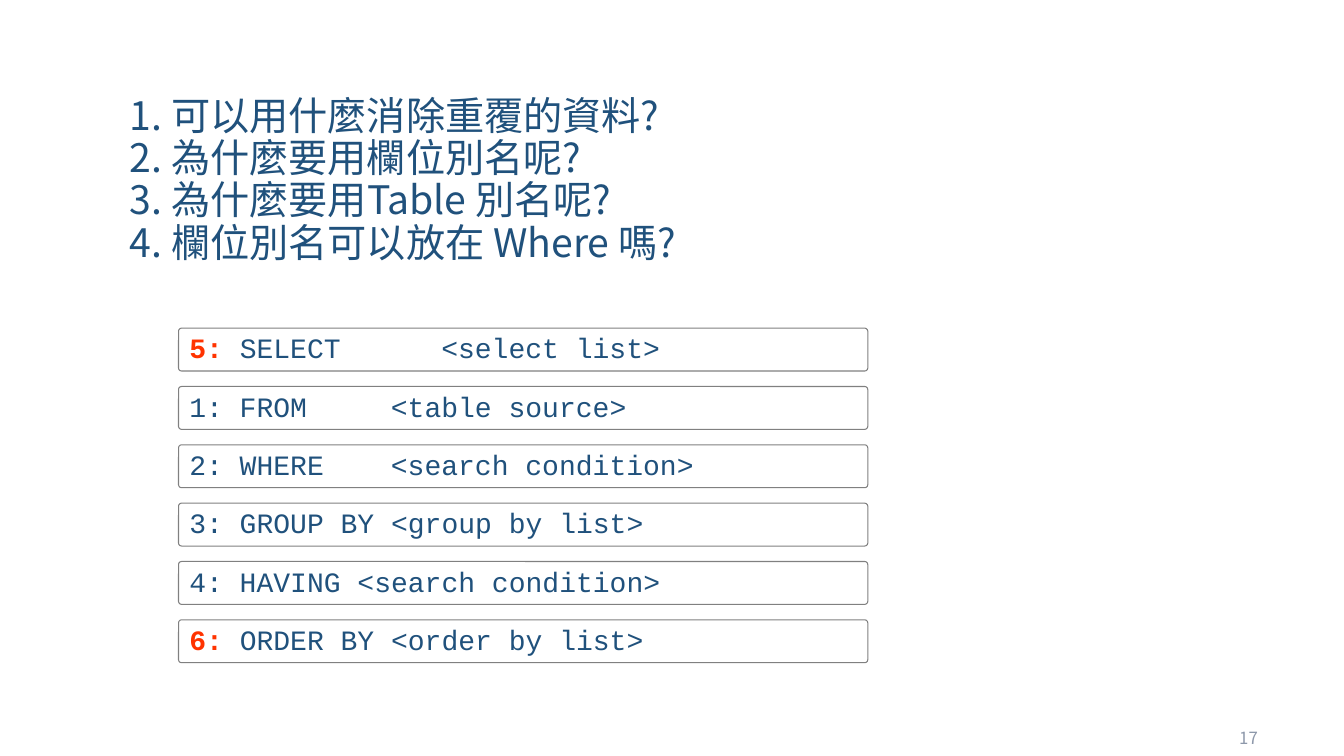
import pptx
import pptx.dml.color
import pptx.enum.shapes
import pptx.enum.text
import pptx.oxml
import pptx.oxml.ns
import pptx.util
from lxml import etree

Cm = pptx.util.Cm
Pt = pptx.util.Pt
RGBColor = pptx.dml.color.RGBColor

NAVY = RGBColor(0x20, 0x51, 0x7C)
RED = RGBColor(0xFF, 0x33, 0x00)
GREY = RGBColor(0x80, 0x80, 0x80)
PALE = RGBColor(0x8D, 0x98, 0xAA)
WHITE = RGBColor(0xFF, 0xFF, 0xFF)

SANS = "Noto Sans CJK SC"
MONO = "Courier New"
SLIDE_NUMBER = 17
CHAR_WIDTH = Pt(12)  # one Courier character at 20 pt

QUESTIONS = [
    "可以用什麼消除重覆的資料?",
    "為什麼要用欄位別名呢?",
    "為什麼要用Table 別名呢?",
    "欄位別名可以放在 Where 嗎?",
]

# order of execution, clause, argument, column of the argument, highlighted
CLAUSES = [
    (5, "SELECT", "<select list>", 15, True),
    (1, "FROM", "<table source>", 12, False),
    (2, "WHERE", "<search condition>", 12, False),
    (3, "GROUP BY", "<group by list>", 12, False),
    (4, "HAVING", "<search condition>", 10, False),
    (6, "ORDER BY", "<order by list>", 12, True),
]


def sub(parent, tag, **attrs):
    return etree.SubElement(parent, pptx.oxml.ns.qn(tag), attrs)


def add_run(p, text, font, size, color, bold=False):
    r = p.add_run()
    r.text = text
    r.font.name = font
    r.font.size = Pt(size)
    r.font.bold = bold
    r.font.color.rgb = color
    sub(r.font._element, "a:ea", typeface=font)


def add_questions(slide, left, top, width, height):
    title = slide.shapes.title
    title.left, title.top, title.width, title.height = left, top, width, height
    tf = title.text_frame
    tf.word_wrap = True
    tf.auto_size = pptx.enum.text.MSO_AUTO_SIZE.NONE
    tf.vertical_anchor = pptx.enum.text.MSO_ANCHOR.TOP
    tf.margin_top = Cm(1.25)
    for number, question in enumerate(QUESTIONS, 1):
        p = tf.paragraphs[0] if number == 1 else tf.add_paragraph()
        p.alignment = pptx.enum.text.PP_ALIGN.LEFT
        p.line_spacing = Pt(30.2)
        add_run(p, f"{number}. {question}", SANS, 28, NAVY)


def add_clause(shapes, clause, left, top, width, height):
    order, keyword, argument, column, highlighted = clause
    sp = shapes.add_shape(pptx.enum.shapes.MSO_SHAPE.ROUNDED_RECTANGLE,
                          left, top, width, height)
    sp.adjustments[0] = 0.07
    sp.shadow.inherit = False
    sp.fill.solid()
    sp.fill.fore_color.rgb = WHITE
    sp.line.color.rgb = GREY
    sp.line.width = Pt(0.75)

    tf = sp.text_frame
    tf.word_wrap = True
    tf.vertical_anchor = pptx.enum.text.MSO_ANCHOR.MIDDLE
    p = tf.paragraphs[0]
    p.alignment = pptx.enum.text.PP_ALIGN.LEFT
    p.line_spacing = 0.9

    label = f"{order}: {keyword}"
    gap = " "
    if column > len(label) + 1:
        gap = "\t"
        tabs = sub(p._p.get_or_add_pPr(), "a:tabLst")
        sub(tabs, "a:tab", pos=str(column * CHAR_WIDTH), algn="l")
    add_run(p, f"{order}:", MONO, 20, RED if highlighted else NAVY, highlighted)
    add_run(p, f" {keyword}{gap}{argument}", MONO, 20, NAVY)


def add_clause_stack(slide, left, top, width, height):
    """Stack the clauses in the box, with equal gaps between them."""
    row_height = Cm(1.08)
    pitch = (height - row_height) // (len(CLAUSES) - 1)
    group = slide.shapes.add_group_shape()
    for i, clause in enumerate(CLAUSES):
        add_clause(group.shapes, clause, left, top + i * pitch, width, row_height)


def add_slide_number(slide, left, top, width, height):
    tf = slide.shapes.add_textbox(left, top, width, height).text_frame
    tf.word_wrap = True
    tf.vertical_anchor = pptx.enum.text.MSO_ANCHOR.MIDDLE
    p = tf.paragraphs[0]
    p.alignment = pptx.enum.text.PP_ALIGN.RIGHT
    add_run(p, str(SLIDE_NUMBER), SANS, 12, PALE)
    # turn the run into a live slide number field
    r = p.runs[0]._r
    r.tag = pptx.oxml.ns.qn("a:fld")
    r.set("id", "{B6F15528-21DE-4FAA-801E-634DDDAF4B2B}")
    r.set("type", "slidenum")


def main():
    prs = pptx.Presentation()
    prs.slide_width, prs.slide_height = Cm(33.87), Cm(19.05)
    prs.element.set("firstSlideNum", str(SLIDE_NUMBER))
    slide = prs.slides.add_slide(prs.slide_layouts.get_by_name("Title Only"))
    add_slide_number(slide, Cm(24.33), Cm(18.08), Cm(7.62), Cm(1.02))
    add_questions(slide, Cm(3.02), Cm(1.17), Cm(29.21), Cm(17.15))
    add_clause_stack(slide, Cm(4.5), Cm(8.27), Cm(17.37), Cm(8.43))
    prs.save("out.pptx")


if __name__ == "__main__":
    main()
